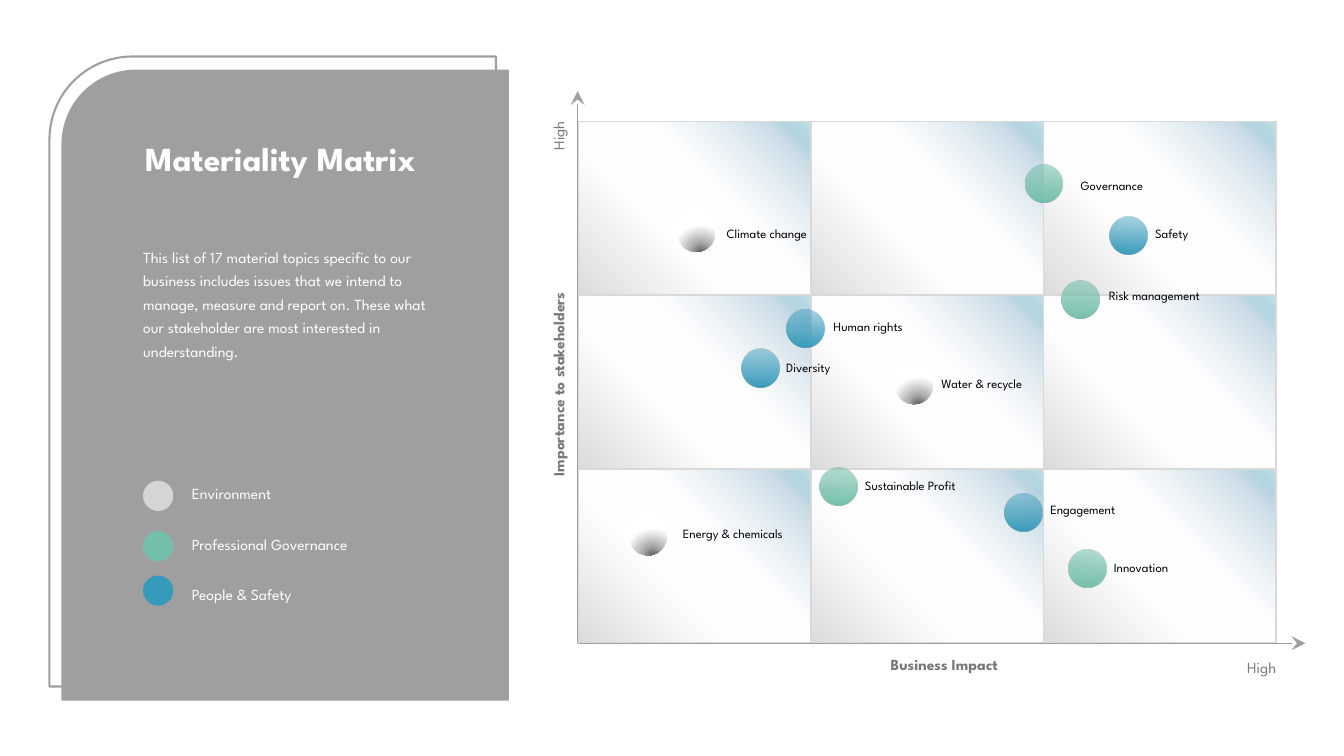
from dataclasses import dataclass
from lxml import etree
from pptx import Presentation
from pptx import util as u
from pptx.dml import color as c
from pptx.enum import shapes as sh, text as tx
from pptx.oxml import ns

Pt = u.Pt
FORM = sh.MSO_SHAPE
ALIGN = tx.PP_ALIGN


@dataclass(frozen=True)
class Theme:
    font: str = "League Spartan"
    white: str = "FFFFFF"
    black: str = "000000"
    grey: str = "9F9FA0"
    ink: str = "797777"
    rule: str = "D9D9D9"
    env: str = "D5D5D5"
    gov: str = "74BFAB"
    soc: str = "369ABA"
    head: int = 24
    body: int = 11
    small: int = 9
    # Gradient stops: position, colour, opacity in percent
    cell: tuple = ((0, "DBDBDB", 100), (37, "FFFFFF", 100), (60, "FFFFFF", 100),
                   (76, "E5EEF3", 100), (89, "CADCE7", 100), (100, "4DA6BA", 29))
    env_dot: tuple = ((0, "5C5C5C", 100), (39, "AEAEAE", 100), (100, "FFFFFF", 100))
    gov_dot: tuple = ((0, "74BFAB", 100), (99, "74BFAB", 52))
    soc_dot: tuple = ((0, "369ABA", 100), (99, "369ABA", 40))


T = Theme()

# Name, dot gradient, dot place, label place, label width, alignment
TOPICS = [
    ("Water & recycle", T.env_dot, (226.1, 175), (259.2, 174.2), 109.4, ALIGN.LEFT),
    ("Sustainable Profit", T.gov_dot, (172.1, 247), (204.5, 247), 109.4, ALIGN.LEFT),
    ("Governance", T.gov_dot, (318.9, 31), (339.1, 32.4), 83.5, ALIGN.CENTER),
    ("Risk management", T.gov_dot, (344.9, 113.8), (378.7, 111.6), 109.4, ALIGN.LEFT),
    ("Human rights", T.soc_dot, (148.3, 134.6), (182.1, 133.2), 83.5, ALIGN.LEFT),
    ("Engagement", T.soc_dot, (304.5, 265.7), (336.9, 264.2), 106.6, ALIGN.LEFT),
    ("Diversity", T.soc_dot, (116.6, 162.7), (148.3, 162.7), 83.5, ALIGN.LEFT),
    ("Safety", T.soc_dot, (379.4, 67.7), (411.8, 67), 55.4, ALIGN.LEFT),
    ("Climate change", T.env_dot, (70.5, 66.2), (105.8, 67), 109.4, ALIGN.LEFT),
    ("Energy & chemicals", T.env_dot, (36, 283), (55.4, 281.5), 109.4, ALIGN.CENTER),
    ("Innovation", T.gov_dot, (349.9, 306), (382.3, 305.3), 80.6, ALIGN.LEFT),
]


def put(thing, **vals):
    for key, val in vals.items():
        setattr(thing, key, val)


def rgb(code):
    return c.RGBColor.from_string(code)


def shape(slide, form, box, fill=None, line=None, width=1, turn=0):
    item = slide.shapes.add_shape(form, *map(Pt, box))
    item.shadow.inherit = False
    item.rotation = turn
    if fill:
        item.fill.solid()
        item.fill.fore_color.rgb = rgb(fill)
    else:
        item.fill.background()
    if line:
        item.line.color.rgb = rgb(line)
        item.line.width = Pt(width)
    else:
        item.line.fill.background()
    return item


def blend(item, stops, angle=None):
    """Fill with a linear gradient, or a radial one when no angle is given."""
    item.fill.gradient()
    grad = item._element.spPr.find(ns.qn("a:gradFill"))
    for old in list(grad):
        grad.remove(old)

    def add(top, tag, **vals):
        return etree.SubElement(top, ns.qn("a:" + tag), vals)

    grad.set("rotWithShape", "0" if angle is None else "1")
    row = add(grad, "gsLst")
    for pos, code, alpha in stops:
        tint = add(add(row, "gs", pos=str(pos * 1000)), "srgbClr", val=code)
        if alpha < 100:
            add(tint, "alpha", val=str(alpha * 1000))
    if angle is None:
        add(add(grad, "path", path="circle"), "fillToRect",
            l="62000", t="120000", r="38000", b="-20000")
    else:
        add(grad, "lin", ang=str(angle * 60000), scaled="0")


def label(slide, words, box, size=T.body, ink=T.white, bold=False, align=ALIGN.LEFT,
          turn=0, inset=(0, 0, 0, 0), space=0.9, anchor=tx.MSO_ANCHOR.MIDDLE, grow=False):
    item = slide.shapes.add_textbox(*map(Pt, box))
    item.rotation = turn
    frame = item.text_frame
    sides = ("margin_left", "margin_top", "margin_right", "margin_bottom")
    put(frame, word_wrap=True, vertical_anchor=anchor, **dict(zip(sides, map(Pt, inset))))
    if grow:
        frame.auto_size = tx.MSO_AUTO_SIZE.SHAPE_TO_FIT_TEXT
    para = frame.paragraphs[0]
    put(para, alignment=align, line_spacing=space)
    run = para.add_run()
    run.text = words
    put(run.font, name=T.font, size=Pt(size), bold=bold)
    run.font.color.rgb = rgb(ink)


def axis(slide, start, end):
    line = slide.shapes.add_connector(sh.MSO_CONNECTOR.STRAIGHT, *map(Pt, start + end))
    line.line.color.rgb = rgb(T.grey)
    line.line.width = Pt(1)
    etree.SubElement(line.line._get_or_add_ln(), ns.qn("a:tailEnd"), type="stealth",
                     w="lg", len="lg")
    etree.SubElement(line._element.spPr, ns.qn("a:effectLst"))


def panel(slide, x, y, w, h):
    back = shape(slide, FORM.ROUND_1_RECTANGLE, (x - 8.6, y - 9.4, 319, 450),
                 line=T.grey, width=1.5, turn=180)
    back.adjustments[0] = 0.186
    back._element.spPr.xfrm.set("flipV", "1")
    shape(slide, FORM.ROUND_1_RECTANGLE,
          (x + (w - h) / 2, y + (h - w) / 2, h, w), T.grey, turn=270)
    top = {"anchor": tx.MSO_ANCHOR.TOP, "grow": True}
    label(slide, "This list of 17 material topics specific to our business includes issues "
          "that we intend to manage, measure and report on. These what our stakeholder are "
          "most interested in understanding.", (x + 56.2, y + 120.2, 213.8, 91.4),
          inset=(2.2, 3.6, 7.2, 3.6), space=Pt(16.8), **top)
    label(slide, "Materiality Matrix", (x + 57.6, y + 46.8, 250.6, 33.1), T.head,
          bold=True, inset=(2.2,) * 4, space=1.0, **top)
    legend(slide, x + 58.3, y + 290)


def legend(slide, x, y):
    rows = [("Environment", T.env, 3.7), ("Professional Governance", T.gov, 39.7),
            ("People & Safety", T.soc, 71.4)]
    for i, (name, tint, drop) in enumerate(rows):
        shape(slide, FORM.OVAL, (x, y + drop, 21.6, 21.6), tint)
        label(slide, name, (x + 34.8, y + 36 * i, 157.7, 27.4))


def matrix(slide, x, y, w, h):
    wide, high = w / 3, h / 3
    for col in range(3):
        for row in range(3):
            cell = shape(slide, FORM.RECTANGLE,
                         (x + col * wide, y + row * high, wide, high), line=T.rule)
            blend(cell, T.cell, 315)
    for name, stops, dot, spot, span, align in TOPICS:
        mark = shape(slide, FORM.OVAL, (x + dot[0], y + dot[1], 27, 27), turn=92.6)
        blend(mark, stops, None if stops is T.env_dot else 180)
        label(slide, name, (x + spot[0], y + spot[1], span, 27.4),
              T.small, T.black, align=align)
    axes(slide, x, y, h)


def axes(slide, x, y, h):
    root = (x - 0.7, y + h + 0.5)
    axis(slide, root, (x + 519.1, root[1]))
    axis(slide, root, (root[0], y - 21.6))
    names = [("Business Impact", (181.4, 375.1, 159.8, 27.4), True, 0),
             ("High", (434.9, 377.3, 63.4, 27.4), False, 0),
             ("Importance to stakeholders", (-93.6, 174.2, 159.8, 27.4), True, 270),
             ("High", (-45.4, 18, 63.4, 27.4), False, 270)]
    for name, (left, top, span, tall), bold, turn in names:
        label(slide, name, (x + left, y + top, span, tall), ink=T.ink, bold=bold,
              align=ALIGN.CENTER if bold else ALIGN.RIGHT, turn=turn)


def main():
    deck = Presentation()
    put(deck, slide_width=Pt(960), slide_height=Pt(540))
    slide = deck.slides.add_slide(deck.slide_layouts[6])
    panel(slide, 43.9, 49.7, 319.7, 450.7)
    matrix(slide, 413.3, 86.7, 498.3, 372.3)
    deck.save("out.pptx")


if __name__ == "__main__":
    main()
